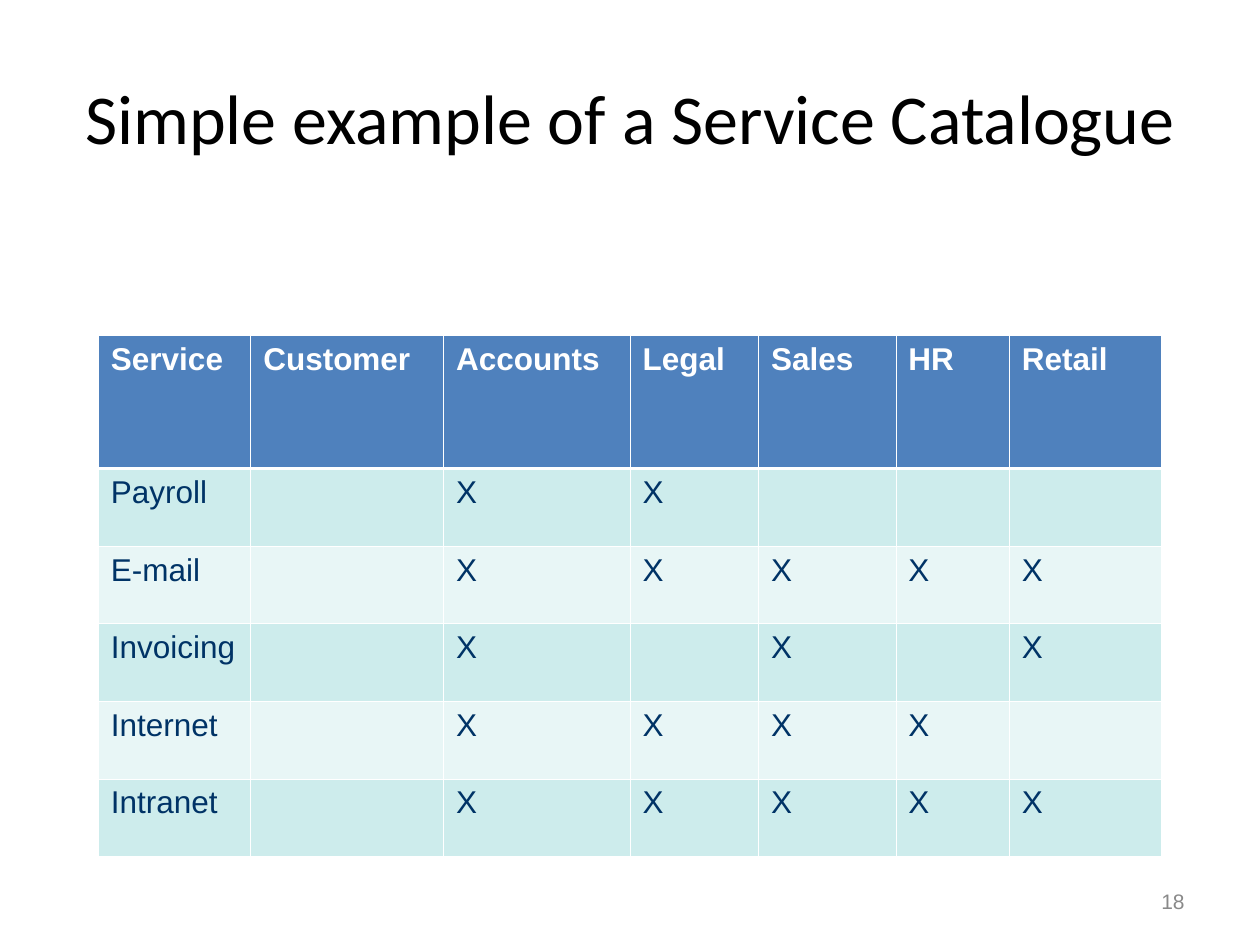
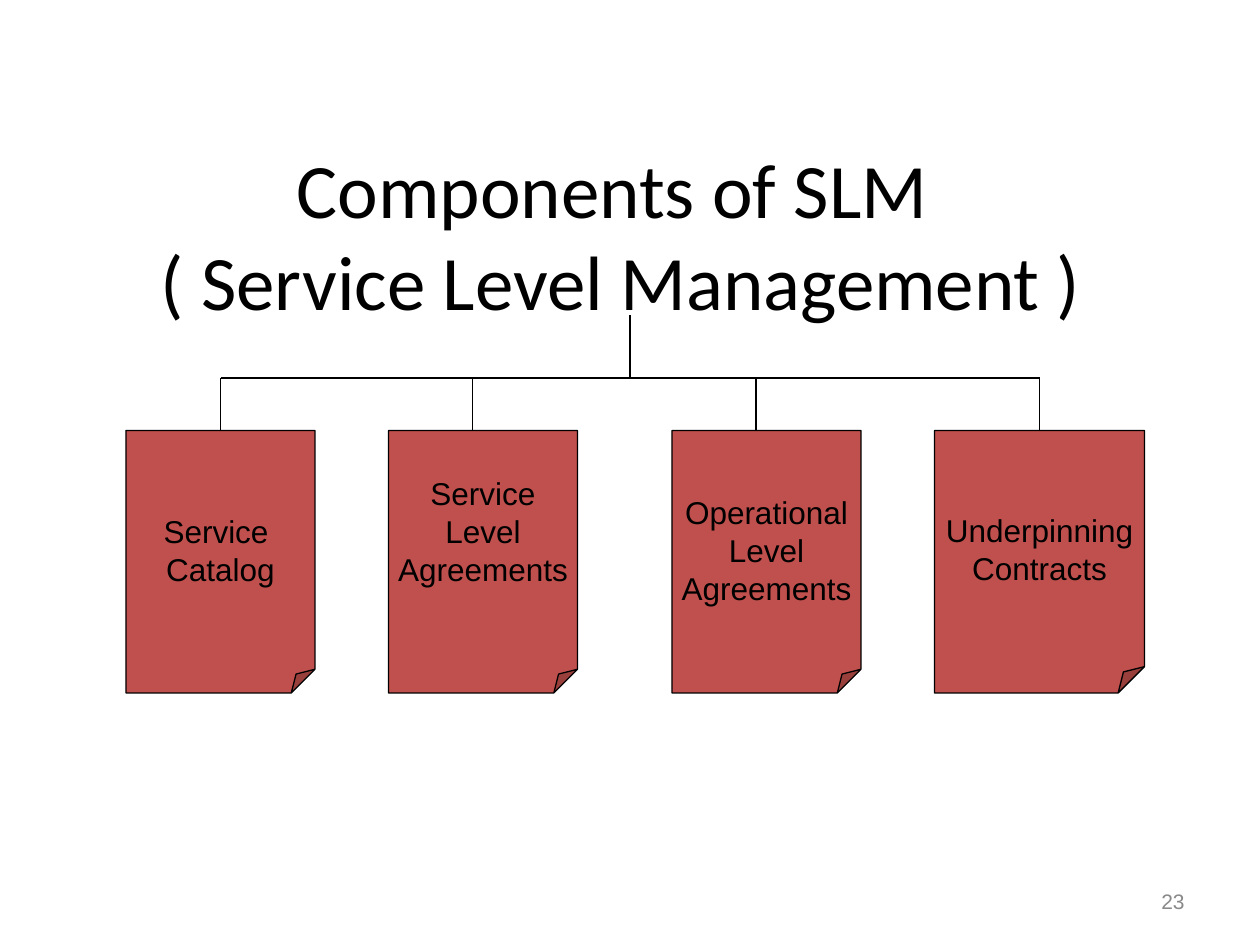
from dataclasses import dataclass

from lxml import etree
from pptx import Presentation
from pptx.dml.color import RGBColor
from pptx.enum.shapes import MSO_CONNECTOR, MSO_SHAPE
from pptx.enum.text import MSO_ANCHOR, PP_ALIGN
from pptx.oxml.ns import qn
from pptx.slide import Slide
from pptx.table import _Cell
from pptx.text.text import TextFrame
from pptx.util import Pt

LEFT, CENTER, RIGHT = PP_ALIGN.LEFT, PP_ALIGN.CENTER, PP_ALIGN.RIGHT
TOP, MIDDLE = MSO_ANCHOR.TOP, MSO_ANCHOR.MIDDLE
STRAIGHT = MSO_CONNECTOR.STRAIGHT
FOLDED_CORNER = MSO_SHAPE.FOLDED_CORNER


@dataclass(frozen=True)
class Theme:
    title_font: str = "Calibri"
    body_font: str = "Arial"
    black: str = "000000"
    white: str = "FFFFFF"
    grey: str = "898989"
    navy: str = "003366"
    header: str = "4F81BD"
    bands: tuple[str, str] = ("CDECEC", "E8F6F6")
    card: str = "C0504D"
    title_size: float = 40
    large_title_size: float = 44
    body_size: float = 18
    number_size: float = 12
    line: float = 0.75
    grid: float = 0.45
    header_rule: float = 1.47


THEME = Theme()


@dataclass(frozen=True)
class Box:
    left: float
    top: float
    width: float
    height: float

    def emu(self) -> tuple[Pt, Pt, Pt, Pt]:
        return Pt(self.left), Pt(self.top), Pt(self.width), Pt(self.height)


@dataclass(frozen=True)
class TextStyle:
    size: float
    color: str
    font: str = THEME.body_font
    bold: bool = False
    align: PP_ALIGN = LEFT


@dataclass(frozen=True)
class Card:
    lines: tuple[str, ...]
    left: float
    stem_x: float
    width: float = 108
    lift: float = 0  # extra bottom inset, raising the centred text


NUMBER_BOX = Box(516, 500.4, 168, 28.8)
NUMBER_STYLE = TextStyle(THEME.number_size, THEME.grey, align=RIGHT)
HEADER_STYLE = TextStyle(THEME.body_size, THEME.white, bold=True)
CELL_STYLE = TextStyle(THEME.body_size, THEME.navy)
CARD_STYLE = TextStyle(THEME.body_size, THEME.black, align=CENTER)

TABLE_LEFT, TABLE_TOP = 56.2, 191.5
HEADER_HEIGHT, ROW_HEIGHT = 76.3, 44.35
COLUMNS = {"Service": 87.1, "Customer": 110.2, "Accounts": 106.6,
           "Legal": 73.4, "Sales": 78.5, "HR": 64.8, "Retail": 87.1}
SERVICE_USERS = {
    "Payroll": {"Accounts", "Legal"},
    "E-mail": {"Accounts", "Legal", "Sales", "HR", "Retail"},
    "Invoicing": {"Accounts", "Sales", "Retail"},
    "Internet": {"Accounts", "Legal", "Sales", "HR"},
    "Intranet": {"Accounts", "Legal", "Sales", "HR", "Retail"},
}

TRUNK_X, TRUNK_TOP, BUS_Y = 360, 180, 216
CARD_TOP, CARD_HEIGHT = 246, 150
CARD_FOLD = 12500  # fold size in 1/100000 of the shorter side
CARDS = (
    Card(("Service ", "Catalog"), 72, 126),
    Card(("Service", "Level", "Agreements"), 222, 270, lift=21.6),
    Card(("Operational", "Level", "Agreements"), 384, 432),
    Card(("Underpinning", "Contracts"), 534, 594, width=120),
)


def rgb(color: str) -> RGBColor:
    return RGBColor.from_string(color)


def write(tf: TextFrame, paragraphs: tuple[str, ...], style: TextStyle) -> None:
    """Write one paragraph per string; a newline becomes a line break."""
    for i, text in enumerate(paragraphs):
        p = tf.paragraphs[0] if i == 0 else tf.add_paragraph()
        p.alignment = style.align
        for j, line in enumerate(text.split("\n")):
            if j:
                p.add_line_break()
            r = p.add_run()
            r.text = line
            r.font.name = style.font
            r.font.size = Pt(style.size)
            r.font.bold = style.bold
            r.font.color.rgb = rgb(style.color)


def add_text(s: Slide, box: Box, text: str, style: TextStyle) -> None:
    tf = s.shapes.add_textbox(*box.emu()).text_frame
    tf.word_wrap = True
    tf.vertical_anchor = MIDDLE
    write(tf, (text,), style)


def add_slide(prs: Presentation, title: str, box: Box, size: float, number: int) -> Slide:
    s = prs.slides.add_slide(prs.slide_layouts[6])
    style = TextStyle(size, THEME.black, THEME.title_font, align=CENTER)
    add_text(s, box, title, style)
    add_text(s, NUMBER_BOX, str(number), NUMBER_STYLE)
    return s


def add_line(s: Slide, x1: float, y1: float, x2: float, y2: float) -> None:
    sp = s.shapes.add_connector(STRAIGHT, Pt(x1), Pt(y1), Pt(x2), Pt(y2))
    sp.line.color.rgb = rgb(THEME.black)
    sp.line.width = Pt(THEME.line)
    etree.SubElement(sp.element.spPr, qn("a:effectLst"))


def set_borders(cell: _Cell, top: float, bottom: float) -> None:
    """Draw white borders; the side ones have the grid width."""
    sides = {"L": THEME.grid, "R": THEME.grid, "T": top, "B": bottom}
    tc_pr = cell._tc.get_or_add_tcPr()
    for i, (side, width) in enumerate(sides.items()):
        ln = etree.Element(qn(f"a:ln{side}"), w=str(int(Pt(width))))
        fill = etree.SubElement(ln, qn("a:solidFill"))
        etree.SubElement(fill, qn("a:srgbClr"), val=THEME.white)
        tc_pr.insert(i, ln)


def add_catalogue(s: Slide) -> None:
    rows = [list(COLUMNS)]
    for service, users in SERVICE_USERS.items():
        marks = ["X" if name in users else "" for name in list(COLUMNS)[1:]]
        rows.append([service, *marks])
    box = Box(TABLE_LEFT, TABLE_TOP, sum(COLUMNS.values()),
              HEADER_HEIGHT + ROW_HEIGHT * len(SERVICE_USERS))
    table = s.shapes.add_table(len(rows), len(COLUMNS), *box.emu()).table
    table.first_row = table.horz_banding = False
    for column, width in zip(table.columns, COLUMNS.values()):
        column.width = Pt(width)
    for i, row in enumerate(rows):
        is_header = i == 0
        table.rows[i].height = Pt(HEADER_HEIGHT if is_header else ROW_HEIGHT)
        color = THEME.header if is_header else THEME.bands[(i - 1) % 2]
        for j, text in enumerate(row):
            cell = table.cell(i, j)
            cell.vertical_anchor = TOP
            cell.fill.solid()
            cell.fill.fore_color.rgb = rgb(color)
            set_borders(cell,
                        top=THEME.header_rule if i == 1 else THEME.grid,
                        bottom=THEME.header_rule if is_header else THEME.grid)
            if text:
                write(cell.text_frame, (text,), HEADER_STYLE if is_header else CELL_STYLE)


def add_card(s: Slide, card: Card) -> None:
    box = Box(card.left, CARD_TOP, card.width, CARD_HEIGHT)
    sp = s.shapes.add_shape(FOLDED_CORNER, *box.emu())
    guides = sp.element.spPr.find(qn("a:prstGeom")).find(qn("a:avLst"))
    etree.SubElement(guides, qn("a:gd"), name="adj", fmla=f"val {CARD_FOLD}")
    sp.shadow.inherit = False
    sp.fill.solid()
    sp.fill.fore_color.rgb = rgb(THEME.card)
    sp.line.color.rgb = rgb(THEME.black)
    sp.line.width = Pt(THEME.line)
    tf = sp.text_frame
    tf.word_wrap = False
    tf.vertical_anchor = MIDDLE
    tf.margin_bottom = Pt(3.6 + card.lift)
    write(tf, card.lines, CARD_STYLE)


def add_component_tree(s: Slide) -> None:
    for card in CARDS:
        add_card(s, card)
    add_line(s, TRUNK_X, TRUNK_TOP, TRUNK_X, BUS_Y)
    add_line(s, CARDS[0].stem_x, BUS_Y, CARDS[-1].stem_x, BUS_Y)
    for card in CARDS:
        add_line(s, card.stem_x, CARD_TOP, card.stem_x, BUS_Y)


def main() -> None:
    prs = Presentation()
    prs.slide_width, prs.slide_height = Pt(720), Pt(540)
    add_catalogue(add_slide(prs, "Simple example of a Service Catalogue",
                            Box(36, 21.6, 648, 90), THEME.title_size, 18))
    add_component_tree(add_slide(prs, "Components of SLM \n( Service Level Management )",
                                 Box(31, 88.5, 648, 90), THEME.large_title_size, 23))
    prs.save("out.pptx")


if __name__ == "__main__":
    main()
